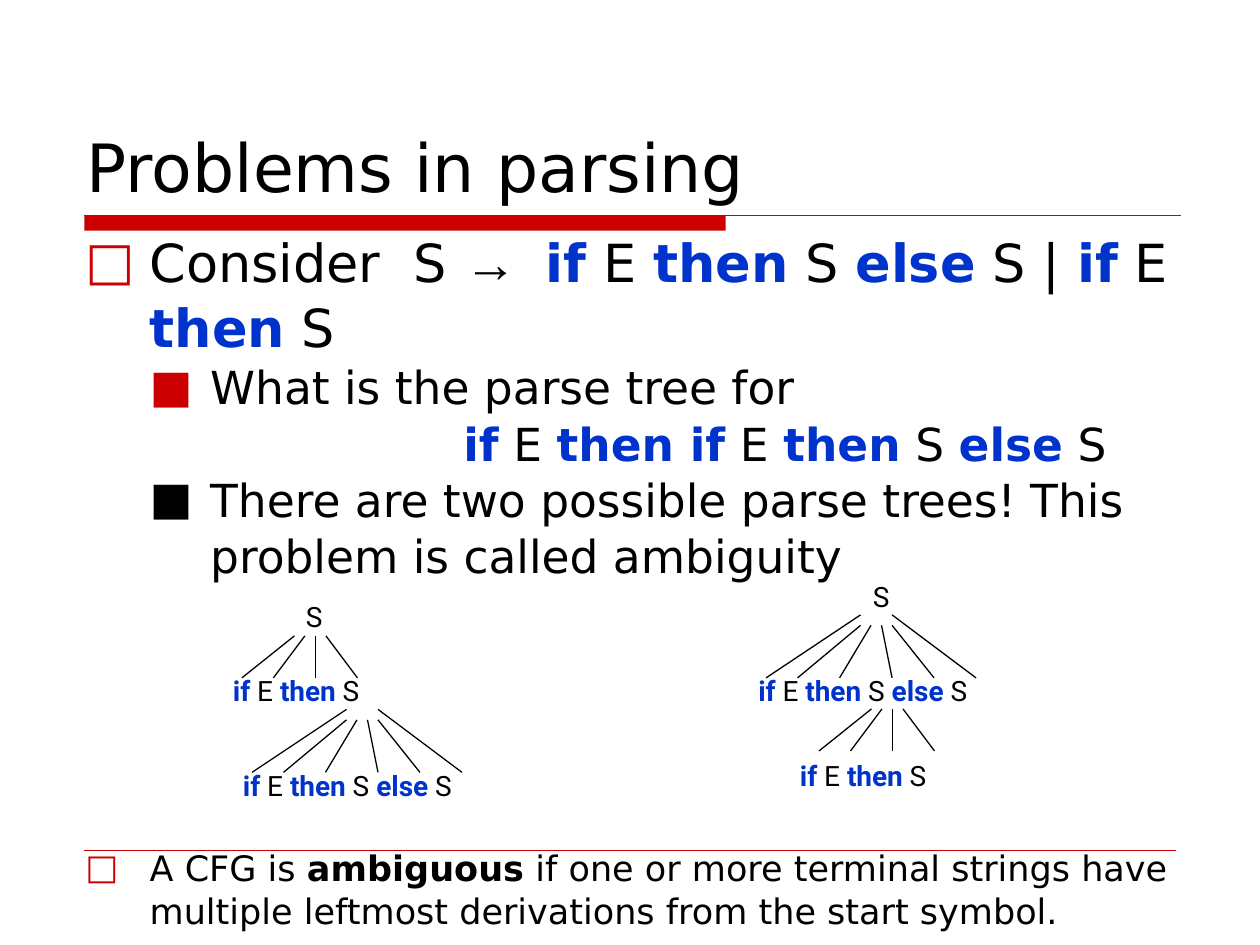
import pptx
import pptx.util
import pptx.dml.color
import pptx.enum.shapes
import pptx.enum.text
from dataclasses import dataclass
from lxml import etree
from pptx.util import Inches, Pt


def shade(code):
    return pptx.dml.color.RGBColor.from_string(code)


@dataclass(frozen=True)
class Theme:
    red: str = "CC0000"
    blue: str = "0033CC"
    black: str = "000000"
    sans: str = "DejaVu Sans"
    tree: str = "Roboto"
    arrow: str = "Arial"
    title: int = 38
    head: int = 30
    sub: int = 26
    note: int = 20
    node: int = 16


LOOK = Theme()
UNIT = 1 / 12
SHORT = "*if* E *then* S"
LONG = SHORT + " *else* S"
FANS = {
    "short": [(0, 5, 4), (3, 6, 4), (7, 7, 4), (11, 8, 4)],
    "long": [(0, 9, 6), (3, 9, 5), (7, 10, 5), (12, 11, 5), (16, 12, 5), (20, 12, 6)],
}


def add_text(slide, box, pad=(0.1, 0.05), wrap=True):
    frame = slide.shapes.add_textbox(*map(Inches, box)).text_frame
    form = {
        "word_wrap": wrap,
        "margin_left": Inches(pad[0]),
        "margin_right": Inches(pad[0]),
        "margin_top": Inches(pad[1]),
        "margin_bottom": Inches(pad[1]),
    }
    for key, value in form.items():
        setattr(frame, key, value)
    return frame


def add_run(para, text, size, face, color, bold=False):
    run = para.add_run()
    run.text = text
    form = {"size": Pt(size), "name": face, "bold": bold}
    for key, value in form.items():
        setattr(run.font, key, value)
    run.font.color.rgb = shade(color)


def fill_para(para, text, size, face=LOOK.sans, accent=LOOK.blue):
    for num, part in enumerate(text.split("*")):
        strong = num % 2 == 1
        for piece in part.partition("→  "):
            if piece:
                font = LOOK.arrow if "→" in piece else face
                add_run(para, piece, size, font, accent if strong else LOOK.black, strong)


def set_list(para, left, hang, mark=None, color=LOOK.red):
    props = para._p.get_or_add_pPr()
    props.set("marL", str(Inches(left)))
    props.set("indent", str(-Inches(hang)))
    if mark:
        tint = etree.SubElement(props, pptx.oxml.ns.qn("a:buClr"))
        etree.SubElement(tint, pptx.oxml.ns.qn("a:srgbClr"), val=color)
        etree.SubElement(props, pptx.oxml.ns.qn("a:buFont"), typeface=LOOK.sans)
        etree.SubElement(props, pptx.oxml.ns.qn("a:buChar"), char=mark)


def add_line(slide, start, end, color=LOOK.black, width=0.75):
    kind = pptx.enum.shapes.MSO_CONNECTOR.STRAIGHT
    line = slide.shapes.add_connector(kind, *map(Inches, start + end))
    line.line.color.rgb = shade(color)
    line.line.width = Pt(width)
    etree.SubElement(line._element.spPr, pptx.oxml.ns.qn("a:effectLst"))


def add_rules(slide, box):
    left, top, width, height = box
    kind = pptx.enum.shapes.MSO_SHAPE.RECTANGLE
    bar = slide.shapes.add_shape(kind, *map(Inches, (left, top, 5.09, 0.12)))
    bar.shadow.inherit = False
    bar.fill.solid()
    bar.fill.fore_color.rgb = shade(LOOK.red)
    bar.line.fill.background()
    add_line(slide, (left, top), (left + width, top), LOOK.red)
    base = top + height
    add_line(slide, (left, base), (left + 8.66, base), LOOK.red, 0.25)


def add_title(slide, box):
    frame = add_text(slide, box, (0.06, 0.03))
    frame.vertical_anchor = pptx.enum.text.MSO_ANCHOR.BOTTOM
    fill_para(frame.paragraphs[0], "Problems in parsing", LOOK.title)


def add_list(slide, box, rows):
    frame = add_text(slide, box)
    for num, (text, size, accent, form) in enumerate(rows):
        para = frame.add_paragraph() if num else frame.paragraphs[0]
        para.line_spacing = 1.03
        set_list(para, *form)
        fill_para(para, text, size, accent=accent)


def add_tree(slide, box, nodes, fans):
    left, top = box
    for text, right, down, width in nodes:
        frame = add_text(slide, (left + right, top + down, width, 0.37), wrap=False)
        fill_para(frame.paragraphs[0], text, LOOK.node, LOOK.tree)
    for name, right, down in fans:
        for foot, peak, rise in FANS[name]:
            start = (left + right + foot * UNIT, top + down)
            end = (left + right + peak * UNIT, top + down - rise * UNIT)
            add_line(slide, start, end)


def main():
    deck = pptx.Presentation()
    deck.slide_width, deck.slide_height = Inches(10), Inches(7.5)
    slide = deck.slides.add_slide(deck.slide_layouts[6])
    add_rules(slide, (0.67, 1.71, 8.7, 5.04))
    add_title(slide, (0.63, 0.33, 8.75, 1.33))
    main_rows = [
        (f"Consider  S →  {LONG} | {SHORT}", LOOK.head, LOOK.blue, (0.51, 0.51, "□")),
        ("What is the parse tree for", LOOK.sub, LOOK.blue, (0.99, 0.48, "■")),
        ("*if* E *then if* E *then* S *else* S", LOOK.sub, LOOK.blue, (3, 0)),
        ("There are two possible parse trees! This problem is called ambiguity",
         LOOK.sub, LOOK.blue, (0.99, 0.48, "■", LOOK.black)),
    ]
    add_list(slide, (0.58, 1.76, 9, 2.85), main_rows)
    note = ("A CFG is *ambiguous* if one or more terminal strings have multiple "
            "leftmost derivations from the start symbol.")
    add_list(slide, (0.58, 6.66, 9, 0.77),
             [(note, LOOK.note, LOOK.black, (0.51, 0.51, "□"))])
    add_tree(slide, (1.75, 4.71),
             [("S", 0.58, 0, 0.25), (SHORT, 0, 0.59, 1.52), (LONG, 0.08, 1.34, 2.33)],
             [("short", 0.17, 0.67), ("long", 0.25, 1.42)])
    add_tree(slide, (5.92, 4.55),
             [("S", 0.91, 0, 0.25), (LONG, 0, 0.75, 2.33), (SHORT, 0.33, 1.42, 1.52)],
             [("long", 0.16, 0.83), ("short", 0.58, 1.41)])
    deck.save("out.pptx")


if __name__ == "__main__":
    main()
